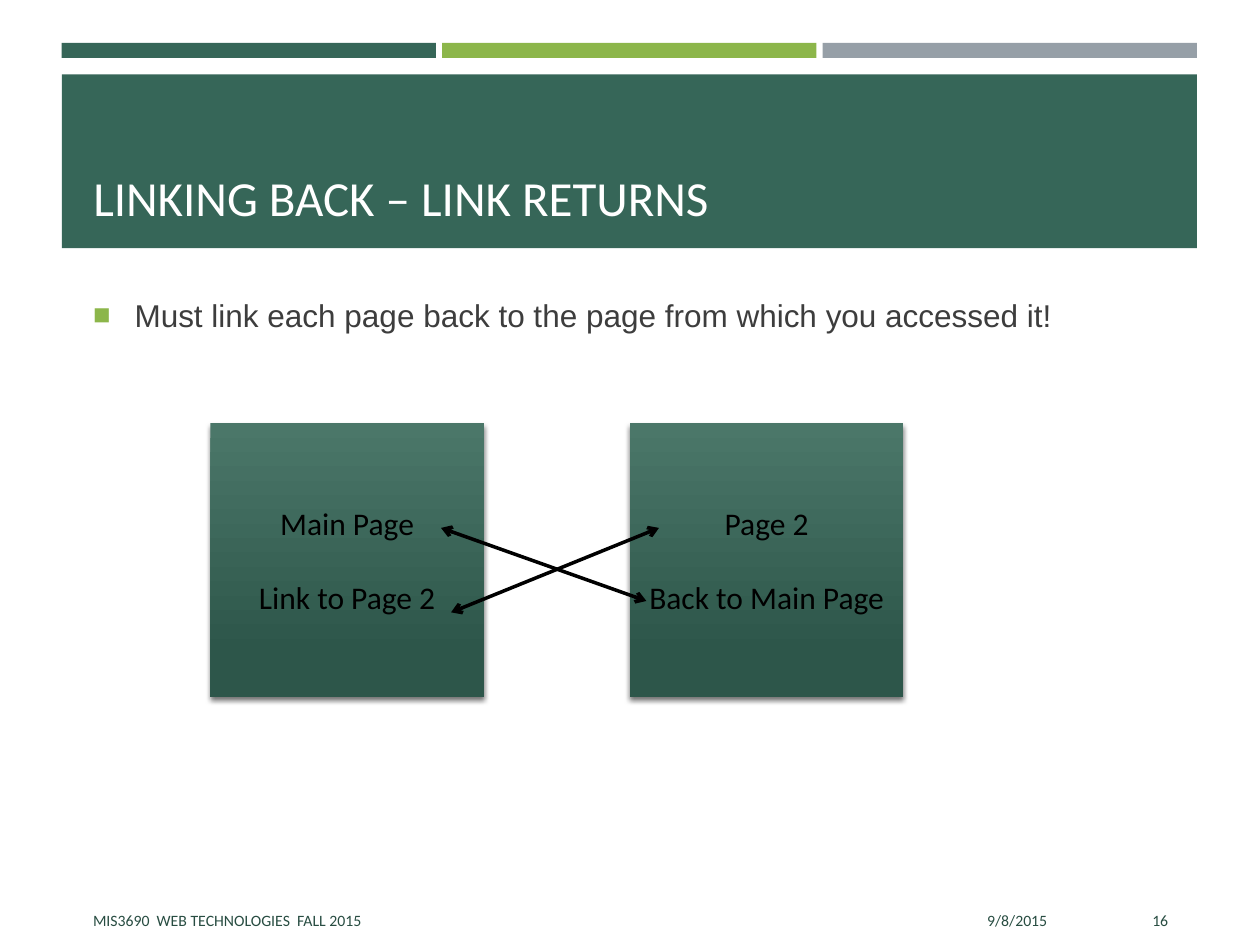
import dataclasses

import lxml.etree
import pptx
import pptx.dml.color
import pptx.enum.shapes
import pptx.enum.text
import pptx.oxml
import pptx.oxml.ns
import pptx.util

Inches = pptx.util.Inches
Pt = pptx.util.Pt
ALIGN = pptx.enum.text.PP_ALIGN
ANCHOR = pptx.enum.text.MSO_ANCHOR
qn = pptx.oxml.ns.qn


@dataclasses.dataclass(frozen=True)
class Theme:
    green: str = "366658"
    lime: str = "8CB64A"
    grey: str = "969FA7"
    page_top: str = "4B7769"
    page_bottom: str = "2D564A"
    white: str = "FFFFFF"
    black: str = "000000"
    body: str = "3D3D3D"
    footer: str = "284D42"
    font: str = "Calibri"
    body_font: str = "Arial"
    title_size: int = 28
    text_size: int = 18
    footer_size: int = 9


class Deck:
    """Draws styled elements on the current slide."""

    def __init__(self, theme):
        self.theme = theme
        self.presentation = pptx.Presentation()
        self.presentation.slide_width = Inches(10)
        self.presentation.slide_height = Inches(7.5)
        self.slide = self.presentation.slides.add_slide(self.presentation.slide_layouts[5])

    def rgb(self, value):
        return pptx.dml.color.RGBColor.from_string(value)

    def add_words(self, paragraph, words, size, color, font=None, align=ALIGN.LEFT):
        paragraph.alignment = align
        run = paragraph.add_run()
        run.text = words
        run.font.name = font or self.theme.font
        run.font.size = Pt(size)
        run.font.color.rgb = self.rgb(color)

    def rectangle(self, left, top, width, height):
        box = self.slide.shapes.add_shape(
            pptx.enum.shapes.MSO_SHAPE.RECTANGLE,
            Inches(left), Inches(top), Inches(width), Inches(height))
        box.shadow.inherit = False
        box.line.fill.background()
        return box

    def band(self, left, top, width, height, color):
        box = self.rectangle(left, top, width, height)
        box.fill.solid()
        box.fill.fore_color.rgb = self.rgb(color)

    def title(self, words, left, top, width, height):
        heading = self.slide.shapes.title
        heading.left, heading.top = Inches(left), Inches(top)
        heading.width, heading.height = Inches(width), Inches(height)
        self.slide.shapes._spTree.append(heading._element)
        frame = heading.text_frame
        frame.auto_size = pptx.enum.text.MSO_AUTO_SIZE.NONE
        frame.vertical_anchor = ANCHOR.BOTTOM
        self.add_words(frame.paragraphs[0], words, self.theme.title_size, self.theme.white)

    def text(self, left, top, width, height, anchor):
        box = self.slide.shapes.add_textbox(
            Inches(left), Inches(top), Inches(width), Inches(height))
        box.text_frame.word_wrap = True
        box.text_frame.vertical_anchor = anchor
        return box.text_frame.paragraphs[0]

    def bullet(self, words, left, top, width, height):
        point = self.text(left, top, width, height, ANCHOR.TOP)
        point.space_before, point.space_after = Pt(3.6), Pt(6)
        self.add_words(point, words, self.theme.text_size, self.theme.body,
                       self.theme.body_font)
        properties = point._p.get_or_add_pPr()
        properties.set("marL", str(Inches(0.33)))
        properties.set("indent", str(-Inches(0.33)))
        color = lxml.etree.SubElement(properties, qn("a:buClr"))
        lxml.etree.SubElement(color, qn("a:srgbClr"), val=self.theme.lime)
        lxml.etree.SubElement(properties, qn("a:buSzPct"), val="92000")
        lxml.etree.SubElement(properties, qn("a:buFont"), typeface=self.theme.body_font)
        lxml.etree.SubElement(properties, qn("a:buChar"), char="■")

    def footer(self, words, left, width, align):
        note = self.text(left, 7.1, width, 0.4, ANCHOR.MIDDLE)
        self.add_words(note, words, self.theme.footer_size, self.theme.footer, align=align)

    def web_page(self, name, link, left, top, side):
        page = self.rectangle(left, top, side, side)
        page.fill.gradient()
        page.fill.gradient_angle = 270
        stops = page.fill.gradient_stops
        for stop, position, color in zip(
                stops, (0, 0.84), (self.theme.page_top, self.theme.page_bottom)):
            stop.position = position
            stop.color.rgb = self.rgb(color)
        effects = page._element.spPr.find(qn("a:effectLst"))
        shadow = lxml.etree.SubElement(
            effects, qn("a:outerShdw"), blurRad=str(Pt(3)), dist=str(Pt(2)),
            dir="5400000", rotWithShape="0")
        shade = lxml.etree.SubElement(shadow, qn("a:srgbClr"), val=self.theme.black)
        lxml.etree.SubElement(shade, qn("a:alpha"), val="55000")
        frame = page.text_frame
        frame.word_wrap = True
        frame.vertical_anchor = ANCHOR.MIDDLE
        label, anchor_link = frame.paragraphs[0], frame.add_paragraph()
        anchor_link.space_before = Pt(21)
        for paragraph, words in ((label, name), (anchor_link, link)):
            self.add_words(paragraph, words, self.theme.text_size, self.theme.black,
                           align=ALIGN.CENTER)

    def arrow(self, start, end):
        link = self.slide.shapes.add_connector(
            pptx.enum.shapes.MSO_CONNECTOR.STRAIGHT,
            *(Inches(value) for value in (*start, *end)))
        link.line.width = Pt(2)
        link.line.color.rgb = self.rgb(self.theme.black)
        outline = link.line._get_or_add_ln()
        for tip in ("a:headEnd", "a:tailEnd"):
            lxml.etree.SubElement(outline, qn(tip), type="arrow")
        lxml.etree.SubElement(link._element.spPr, qn("a:effectLst"))


theme = Theme()
deck = Deck(theme)
for column, color in enumerate((theme.green, theme.lime, theme.grey)):
    deck.band(0.49 + column * 3.02, 0.34, 2.97, 0.12, color)
deck.band(0.49, 0.59, 9.01, 1.38, theme.green)
deck.title("LINKING BACK – LINK RETURNS", 0.64, 0.67, 8.74, 1.18)
deck.bullet("Must link each page back to the page from which you accessed it!",
            0.64, 2.3, 8.74, 4.62)

for words, left, width, align in (
        ("9/8/2015", 6.08, 2.33, ALIGN.RIGHT),
        ("MIS3690  WEB TECHNOLOGIES  FALL 2015", 0.64, 5.33, ALIGN.LEFT),
        ("16", 8.53, 0.84, ALIGN.RIGHT)):
    deck.footer(words, left, width, align)

for name, link, left in (("Main Page", "Link to Page 2", 1.67),
                         ("Page 2", "Back to Main Page", 5)):
    deck.web_page(name, link, left, 3.36, 2.17)
deck.arrow((3.58, 4.86), (5.23, 4.19))
deck.arrow((3.5, 4.19), (5.13, 4.77))

deck.presentation.save("out.pptx")
